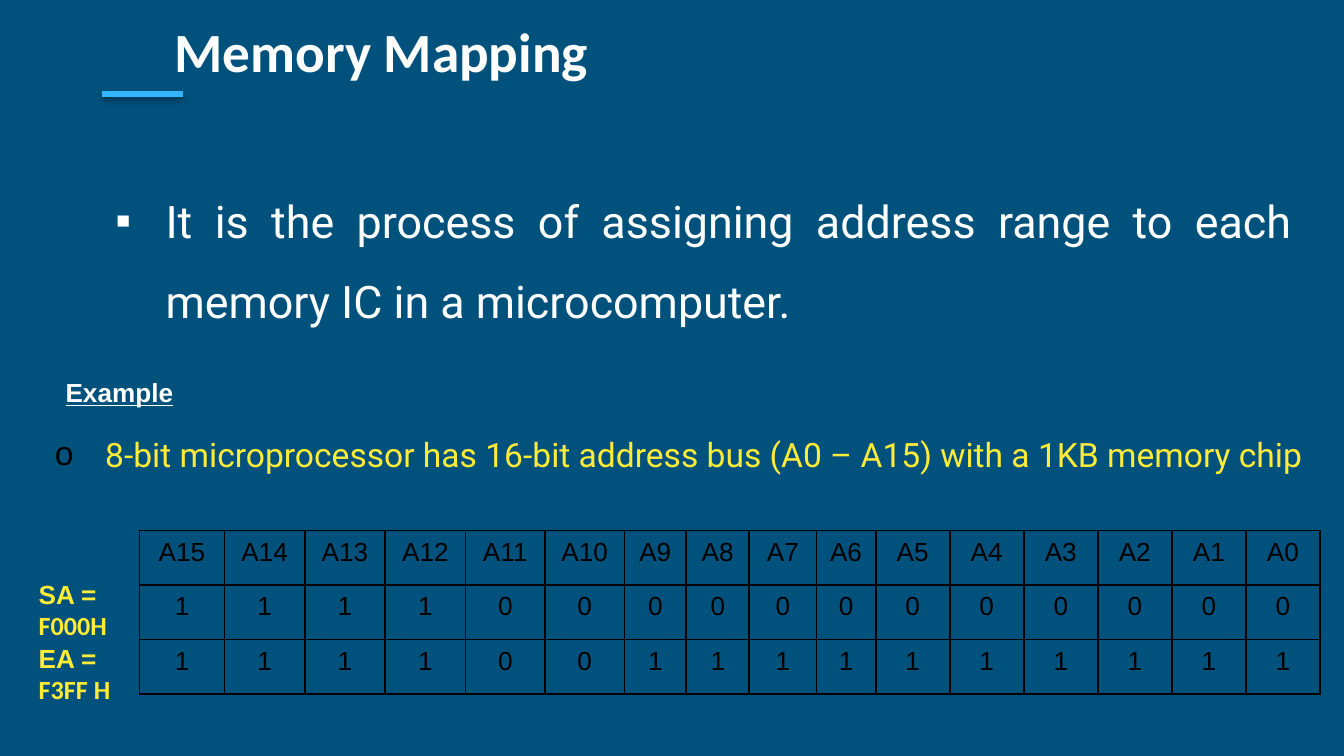
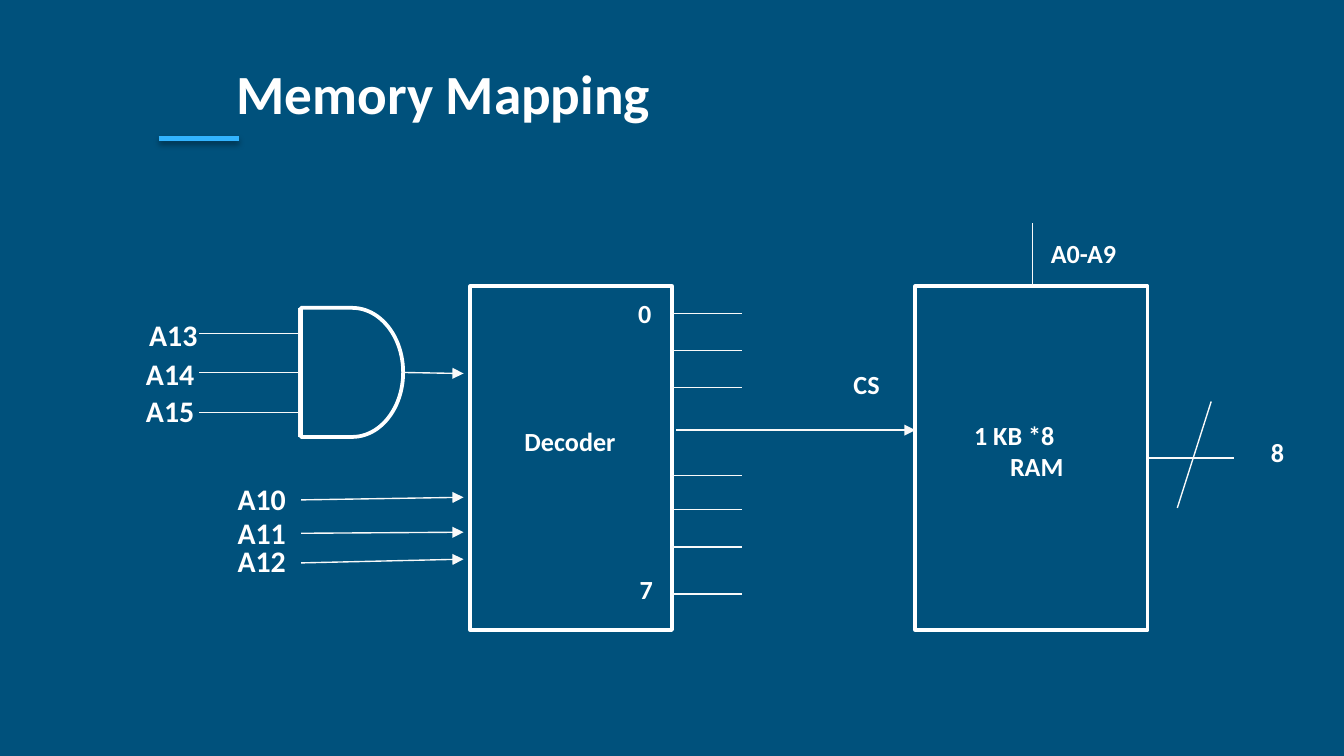
from lxml import etree
from pptx import Presentation
from pptx.dml.color import RGBColor
from pptx.enum import shapes, text
from pptx.oxml import ns
from pptx.util import Cm, Pt

NAVY = RGBColor(0x00, 0x51, 0x7C)
SKY = RGBColor(0x32, 0xB4, 0xFF)
YELLOW = RGBColor(0xFF, 0xEB, 0x38)
WHITE = RGBColor(0xFF, 0xFF, 0xFF)
OFF_WHITE = RGBColor(0xF9, 0xF9, 0xF9)
BLACK = RGBColor(0x00, 0x00, 0x00)

TITLE = "Memory Mapping"
DEFINITION = ("It is the process of assigning address range to each "
              "memory IC in a microcomputer.")
EXAMPLE = "8-bit microprocessor has 16-bit address bus (A0 – A15) with a 1KB memory chip"
ADDRESS_ROWS = [
    [f"A{bit}" for bit in range(15, -1, -1)],
    list("1111000000000000"),
    list("1111001111111111"),
]
BIT_WIDTHS = [1.6] + [1.52] * 3 + [1.5] * 2 + [1.17, 1.19, 1.27, 1.12] + [1.4] * 6
ROW_HEIGHT = 1.03
ADDRESS_LABELS = [
    ("SA = ", "F000H", (0.48, 10.8, 2.16, 1.45)),
    ("EA = ", "F3FF H", (0.48, 12.01, 2.41, 1.45)),
]

BLOCKS = [
    (shapes.MSO_SHAPE.FLOWCHART_DELAY, (5.69, 5.82, 1.93, 2.44)),
    (shapes.MSO_SHAPE.RECTANGLE, (8.89, 5.41, 3.81, 6.5)),
    (shapes.MSO_SHAPE.RECTANGLE, (17.3, 5.41, 4.39, 6.5)),
]
GATE_INPUT_YS = [6.3, 7.04, 7.8]
DECODER_OUTPUT_YS = [5.92, 6.63, 7.32, 8.99, 9.63, 10.34, 11.23]
DECODER_INPUT_YS = [(9.45, 9.4), (10.08, 10.06), (10.64, 10.57)]
WIRES = (
    [(3.76, y, 5.64, y) for y in GATE_INPUT_YS]
    + [(12.7, y, 14.03, y) for y in DECODER_OUTPUT_YS]
    + [
        (5.64, 5.82, 5.64, 8.26),
        (19.51, 5.41, 19.51, 4.22),
        (21.69, 8.66, 23.32, 8.66),
        (22.89, 7.59, 22.25, 9.6),
    ]
)
ARROWS = [(5.69, start, 8.76, end) for start, end in DECODER_INPUT_YS] + [
    (7.59, 7.04, 8.76, 7.06),
    (12.78, 8.13, 17.3, 8.13),
]
SIGNAL_LABELS = [
    ("A13", 2.57, 5.87),
    ("A14", 2.51, 6.6),
    ("A15", 2.51, 7.29),
    ("A10", 4.24, 8.97),
    ("A11", 4.24, 9.6),
    ("A12", 4.24, 10.13),
]
BLOCK_LABELS = [
    ("CS", 15.88, 6.83, 1.24),
    ("0", 11.81, 5.49, 0.86),
    ("7", 11.84, 10.72, 0.81),
    ("A0-A9", 19.61, 4.37, 2.67),
    ("8", 23.77, 8.13, 1.24),
]


def add_xml(parent, tag, **attributes):
    return etree.SubElement(parent, ns.qn(tag), attributes)


def format_paragraph(paragraph, size, name="Calibri", color=WHITE, bold=False):
    font = paragraph.font
    font.size, font.name, font.bold = Pt(size), name, bold
    font.color.rgb = color


def set_bullet(paragraph, character, color, indent):
    properties = paragraph._p.get_or_add_pPr()
    properties.set("marL", str(Cm(indent)))
    properties.set("indent", str(-Cm(indent)))
    bullet_color = add_xml(properties, "a:buClr")
    add_xml(bullet_color, "a:srgbClr", val=str(color))
    add_xml(properties, "a:buFont", typeface="Arial")
    add_xml(properties, "a:buChar", char=character)


def add_text(slide, box, *runs):
    frame = slide.shapes.add_textbox(*map(Cm, box)).text_frame
    frame.word_wrap = True
    frame.auto_size = text.MSO_AUTO_SIZE.SHAPE_TO_FIT_TEXT
    paragraph = frame.paragraphs[0]
    for words in runs:
        paragraph.add_run().text = words
    return paragraph


def add_line(slide, ends, color=OFF_WHITE, width=0.75, arrow=False):
    line = slide.shapes.add_connector(shapes.MSO_CONNECTOR.STRAIGHT, *map(Cm, ends))
    line.line.color.rgb = color
    line.line.width = Pt(width)
    if arrow:
        add_xml(line.line._get_or_add_ln(), "a:tailEnd", type="triangle")
    return add_xml(line._element.spPr, "a:effectLst")


def add_titled_slide(presentation, title_left, title_top, accent_left, accent_top):
    slide = presentation.slides.add_slide(presentation.slide_layouts[5])
    title = slide.shapes.title
    title.left, title.top = Cm(title_left), Cm(title_top)
    title.width, title.height = Cm(9.09), Cm(1.55)
    frame = title.text_frame
    frame.text = TITLE
    frame.auto_size = text.MSO_AUTO_SIZE.NONE
    frame.word_wrap = True
    frame.vertical_anchor = text.MSO_ANCHOR.BOTTOM
    frame.margin_left = frame.margin_right = Cm(0.25)
    frame.margin_top = frame.margin_bottom = Cm(0.25)
    paragraph = frame.paragraphs[0]
    paragraph.alignment = text.PP_ALIGN.LEFT
    paragraph.line_spacing = 0.8
    format_paragraph(paragraph, 29.6, bold=True)

    accent = (accent_left, accent_top, accent_left + 1.52, accent_top)
    effects = add_line(slide, accent, SKY, 3)
    shadow = add_xml(effects, "a:outerShdw", blurRad=str(Pt(3.1)), dist=str(Pt(1.8)),
                     dir="5400000", rotWithShape="0")
    shade = add_xml(shadow, "a:srgbClr", val=str(BLACK))
    add_xml(shade, "a:alpha", val="35000")
    return slide


def format_cell(cell, words):
    cell.text = words
    cell.fill.background()
    paragraph = cell.text_frame.paragraphs[0]
    paragraph.alignment = text.PP_ALIGN.CENTER
    format_paragraph(paragraph, 14, "Arial", BLACK)
    properties = cell._tc.get_or_add_tcPr()
    for position, side in enumerate(("a:lnL", "a:lnR", "a:lnT", "a:lnB")):
        border = add_xml(properties, side, w=str(Pt(1)))
        fill = add_xml(border, "a:solidFill")
        add_xml(fill, "a:srgbClr", val=str(BLACK))
        properties.insert(position, border)


def add_address_table(slide):
    table = slide.shapes.add_table(
        len(ADDRESS_ROWS), len(BIT_WIDTHS), Cm(2.64), Cm(10.03),
        Cm(sum(BIT_WIDTHS)), Cm(ROW_HEIGHT * len(ADDRESS_ROWS))).table
    table.first_row = table.horz_banding = False
    for column, width in zip(table.columns, BIT_WIDTHS):
        column.width = Cm(width)
    for row, values in zip(table.rows, ADDRESS_ROWS):
        row.height = Cm(ROW_HEIGHT)
        for cell, value in zip(row.cells, values):
            format_cell(cell, value)


def build_definition_slide(presentation):
    slide = add_titled_slide(presentation, 3.05, 0.28, 1.93, 1.78)
    add_address_table(slide)
    for name, address, box in ADDRESS_LABELS:
        paragraph = add_text(slide, box, name, address)
        format_paragraph(paragraph, 14, "Arial", YELLOW, True)
        paragraph.runs[1].font.name = "Calibri"

    definition = add_text(slide, (1.93, 3.02, 22.73, 3.18), DEFINITION)
    set_bullet(definition, "▪", WHITE, 0.95)
    definition.alignment = text.PP_ALIGN.JUSTIFY
    definition.line_spacing = 1.5
    format_paragraph(definition, 24, "Roboto")

    example = add_text(slide, (0.79, 8.08, 24.38, 1.02), EXAMPLE)
    set_bullet(example, "o", BLACK, 0.95)
    format_paragraph(example, 18, "Roboto", YELLOW)

    heading = add_text(slide, (0.99, 6.99, 3.48, 0.86), "Example")
    format_paragraph(heading, 14, "Arial", bold=True)
    heading.font.underline = True


def build_circuit_slide(presentation):
    slide = add_titled_slide(presentation, 4.22, 1.07, 3.0, 2.62)
    for kind, box in BLOCKS:
        block = slide.shapes.add_shape(kind, *map(Cm, box))
        block.shadow.inherit = False
        block.fill.solid()
        block.fill.fore_color.rgb = NAVY
        block.line.color.rgb = WHITE
        block.line.width = Pt(2)
    for ends in WIRES:
        add_line(slide, ends)
    for ends in ARROWS:
        add_line(slide, ends, arrow=True)

    for words, left, top in SIGNAL_LABELS:
        label = add_text(slide, (left, top, 1.75, 0.94), words)
        format_paragraph(label, 16, bold=True)
    for words, left, top, width in BLOCK_LABELS:
        label = add_text(slide, (left, top, width, 0.86), words)
        format_paragraph(label, 14, bold=True)

    decoder = add_text(slide, (9.25, 7.92, 3.05, 0.86), "Decoder")
    capacity = add_text(slide, (17.83, 7.8, 3.53, 1.45), "1 KB *8")
    capacity._p.get_or_add_pPr().set("marL", str(Cm(0.33)))
    memory = capacity._parent.add_paragraph()
    memory.text = "RAM"
    decoder.alignment = memory.alignment = text.PP_ALIGN.CENTER
    for paragraph in (decoder, capacity, memory):
        format_paragraph(paragraph, 14, bold=True)


def main():
    presentation = Presentation()
    presentation.slide_width, presentation.slide_height = Cm(25.4), Cm(14.29)
    background = presentation.slide_master.background.fill
    background.solid()
    background.fore_color.rgb = NAVY
    build_definition_slide(presentation)
    build_circuit_slide(presentation)
    presentation.save("out.pptx")


if __name__ == "__main__":
    main()
